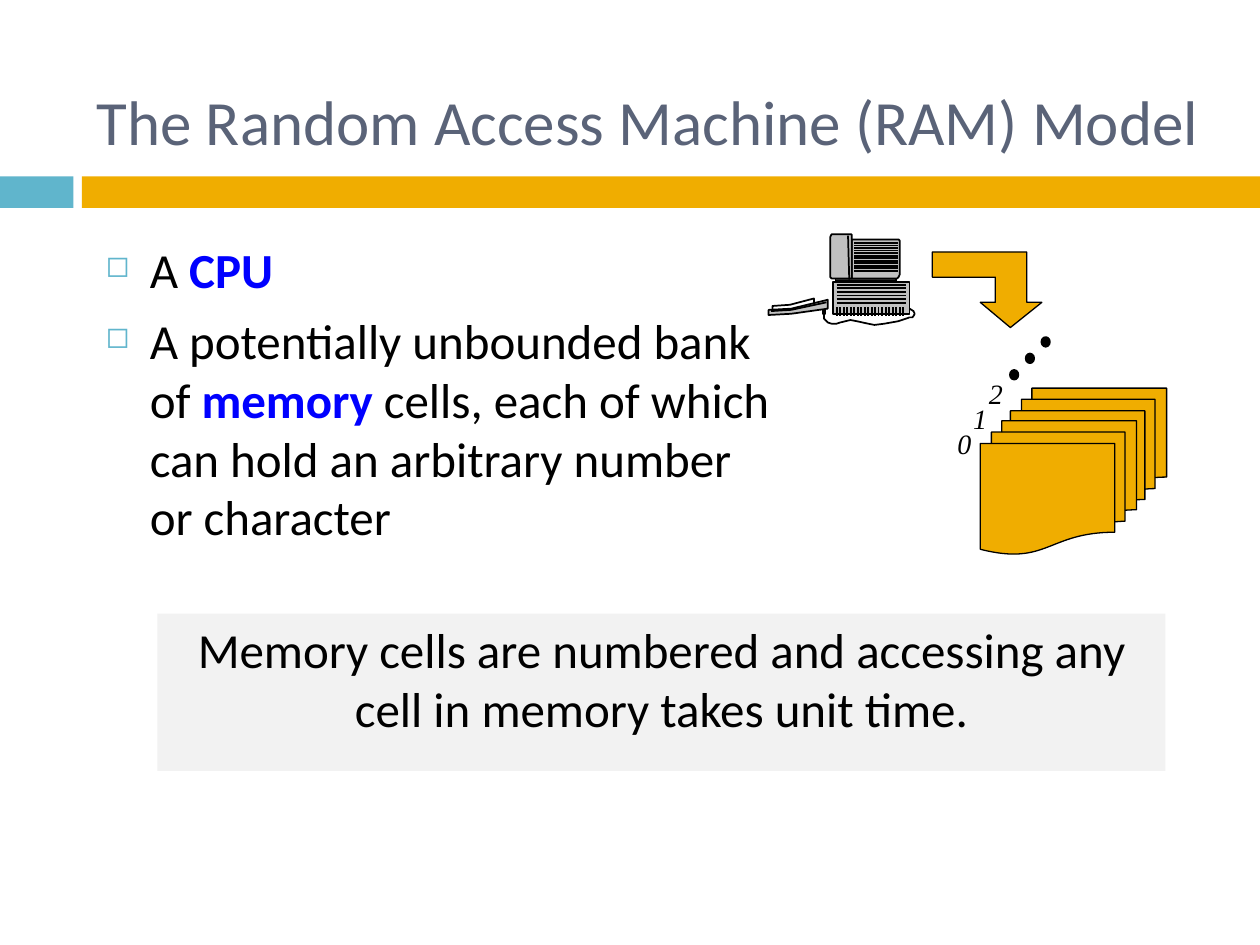
from lxml import etree
from pptx import Presentation
from pptx.dml.color import RGBColor
from pptx.enum.shapes import MSO_CONNECTOR, MSO_SHAPE as SHAPE
from pptx.enum.text import MSO_ANCHOR as ANCHOR, PP_ALIGN as ALIGN
from pptx.oxml.ns import qn
from pptx.util import Pt

COLORS = {
    "teal": "60B5CC", "gold": "F0AD00", "title": "5A6378", "black": "000000",
    "blue": "0000FF", "panel": "F2F2F2", "white": "FFFFFF", "gray": "808080",
    "silver": "C0C0C0", "dark": "3F3F3F",
}


def rgb(name):
    return RGBColor.from_string(COLORS[name])


def style(sp, fill=None, line=None):
    """Set fill colour and black line width; None leaves either one out."""
    sp.shadow.inherit = False
    if fill:
        sp.fill.solid()
        sp.fill.fore_color.rgb = rgb(fill)
    else:
        sp.fill.background()
    if line:
        sp.line.color.rgb = rgb("black")
        sp.line.width = Pt(line)
    else:
        sp.line.fill.background()


def add_preset(shapes, kind, x, y, w, h, fill, line=None):
    sp = shapes.add_shape(kind, Pt(x), Pt(y), Pt(w), Pt(h))
    style(sp, fill, line)
    return sp


def add_outline(shapes, x, y, points, fill=None, line=1):
    """Draw points relative to (x, y); the outline is closed when filled."""
    (x0, y0), *rest = [(Pt(x + dx), Pt(y + dy)) for dx, dy in points]
    builder = shapes.build_freeform(x0, y0, scale=1.0)
    builder.add_line_segments(rest, close=fill is not None)
    style(builder.convert_to_shape(), fill, line)


def add_line(shapes, x1, y1, x2, y2):
    ln = shapes.add_connector(MSO_CONNECTOR.STRAIGHT, Pt(x1), Pt(y1), Pt(x2), Pt(y2))
    ln.line.color.rgb = rgb("black")
    ln.line.width = Pt(1)
    etree.SubElement(ln._element.spPr, qn("a:effectLst"))


def add_text(p, text, size=28, color="black", font="Calibri", bold=False, italic=False):
    r = p.add_run()
    r.text = text
    r.font.size, r.font.name = Pt(size), font
    r.font.bold, r.font.italic = bold, italic
    r.font.color.rgb = rgb(color)


def add_box(shapes, x, y, w, h, wrap=True, anchor=ANCHOR.TOP):
    tf = shapes.add_textbox(Pt(x), Pt(y), Pt(w), Pt(h)).text_frame
    tf.word_wrap = wrap
    tf.vertical_anchor = anchor
    return tf


def add_bullet(p, char="◻", indent=25.2):
    pPr = p._p.get_or_add_pPr()
    pPr.set("marL", str(Pt(indent)))
    pPr.set("indent", str(-Pt(indent)))
    color = etree.SubElement(pPr, qn("a:buClr"))
    etree.SubElement(color, qn("a:srgbClr"), val=COLORS["teal"])
    etree.SubElement(pPr, qn("a:buSzPct"), val="60000")
    etree.SubElement(pPr, qn("a:buChar"), char=char)


def draw_header(shapes, x, y, w):
    tf = add_box(shapes, x + 48.2, y + 23.8, 648, 90, anchor=ANCHOR.MIDDLE)
    add_text(tf.paragraphs[0], "The Random Access Machine (RAM) Model", 36, "title")
    add_preset(shapes, SHAPE.RECTANGLE, x, y + 100.8, 42, 18, "teal")
    add_preset(shapes, SHAPE.RECTANGLE, x + 46.8, y + 100.8, w - 46.8, 18, "gold")


def draw_bullets(shapes, x, y, w, h):
    """Each item is a list of runs, with key terms marked True."""
    items = [
        [("A ", False), ("CPU", True)],
        [("A potentially unbounded bank of ", False), ("memory ", True),
         ("cells, each of which can hold an arbitrary number or character", False)],
    ]
    tf = add_box(shapes, x, y, w, h)
    for i, runs in enumerate(items):
        p = tf.add_paragraph() if i else tf.paragraphs[0]
        p.space_before = Pt(7)
        add_bullet(p)
        for text, key in runs:
            add_text(p, text, color="blue" if key else "black", bold=key)


def draw_keyboard(shapes, x, y):
    add_outline(shapes, x, y, [(2.2, 41), (12.2, 40.3), (25.9, 36.7), (25.9, 41.8),
                               (12.2, 43.9), (2.2, 43.9)], "white")
    add_preset(shapes, SHAPE.RECTANGLE, x + 31, y + 42.5, 1.4, 2.9, "gray", 1)
    add_outline(shapes, x, y, [(33.8, 37.4), (13, 42.5), (0, 43.2), (0, 46.1),
                               (13, 45.4), (33.8, 42.5)], "silver")
    add_outline(shapes, x, y, [(1.4, 43.9), (13, 43.2), (33.1, 38.9)])
    cable = [(31.7, 46.1), (31.7, 48.2), (33.8, 50.4), (36, 51.1), (38.9, 51.1),
             (41, 50.4), (46.8, 49), (50.4, 49.7), (56.9, 51.1), (60.5, 51.8),
             (66.2, 51.1), (74.2, 49.7), (80.6, 47.5), (82.1, 47.5), (82.8, 46.8),
             (83.5, 45.4), (82.8, 43.9), (80.6, 42.5)]
    add_outline(shapes, x, y, cable)


def draw_case(shapes, x, y):
    add_preset(shapes, SHAPE.RECTANGLE, x, y, 43.9, 18, "silver", 1)
    for i in range(6):
        add_line(shapes, x + 2.2, y + 1.4 + 2.05 * i, x + 42.1, y + 1.4 + 2.05 * i)
    for i in range(20):
        add_line(shapes, x + 2.2 + 2 * i, y + 14.4, x + 2.2 + 2 * i, y + 19.4)


def draw_monitor(shapes, x, y):
    add_preset(shapes, SHAPE.RECTANGLE, x + 2.9, y + 25.2, 34.6, 1.4, "dark", 1)
    add_outline(shapes, x, y, [(12.2, 25.2), (38.1, 25.2), (38.9, 24.5), (39.6, 23),
                               (39.6, 3.6), (38.9, 2.9), (12.2, 2.9)], "silver")
    for i in range(12):
        add_line(shapes, x + 13.7, y + 5 + 1.44 * i, x + 38.9, y + 5 + 1.44 * i)
    add_outline(shapes, x, y, [(12.2, 0), (12.2, 25.2), (0.7, 25.2), (0, 24.5),
                               (0, 1.4), (0.7, 0)], "silver")
    add_line(shapes, x + 10.1, y + 0.7, x + 10.8, y + 25.9)


def draw_computer(shapes, x, y):
    parts = shapes.add_group_shape().shapes
    draw_keyboard(parts, x, y)
    draw_case(parts, x + 36.7, y + 27.4)
    draw_monitor(parts, x + 35.3, y)


def draw_memory(shapes, x, y):
    parts = shapes.add_group_shape().shapes
    for dx, dy in [(44.6, 77.8), (27.4, 96.5)]:
        add_preset(parts, SHAPE.FLOWCHART_MULTIDOCUMENT, x + dx, y + dy, 89.3, 76.3,
                   "gold", 0.75)
    for i in range(3):
        tf = add_box(parts, x + 7.2 + 9 * i, y + 96.5 - 14.4 * i, 22.3, 26.6, wrap=False)
        add_text(tf.paragraphs[0], str(i), 16, font="Times New Roman", italic=True)
    for i in range(3):
        dot = add_preset(parts, SHAPE.OVAL, x + 44.6 + 9 * i, y + 67.7 - 9.4 * i,
                         4.3, 5, "black", 1.5)
    add_outline(parts, x, y, [(44.6, 43.2), (27.4, 28.8), (36, 28.8), (36, 14.4),
                              (0, 14.4), (0, 0), (54, 0), (54, 28.8), (62.6, 28.8)],
                "gold", 0.75)


def draw_note(shapes, x, y, w, h):
    sp = add_preset(shapes, SHAPE.RECTANGLE, x, y, w, h, "panel")
    tf = sp.text_frame
    tf.word_wrap = True
    tf.vertical_anchor = ANCHOR.TOP
    p = tf.paragraphs[0]
    p.alignment = ALIGN.CENTER
    p.space_before = Pt(5.6)
    add_text(p, "Memory cells are numbered and accessing any cell in memory takes unit time.")


def main():
    prs = Presentation()
    prs.slide_width, prs.slide_height = Pt(720), Pt(540)
    shapes = prs.slides.add_slide(prs.slide_layouts[6]).shapes
    draw_header(shapes, 0, 0, 720)
    draw_bullets(shapes, 53.3, 133.2, 401.8, 264.2)
    draw_computer(shapes, 439.2, 133.9)
    draw_memory(shapes, 532.8, 144)
    draw_note(shapes, 90, 350.6, 576, 90)
    prs.save("out.pptx")


if __name__ == "__main__":
    main()
